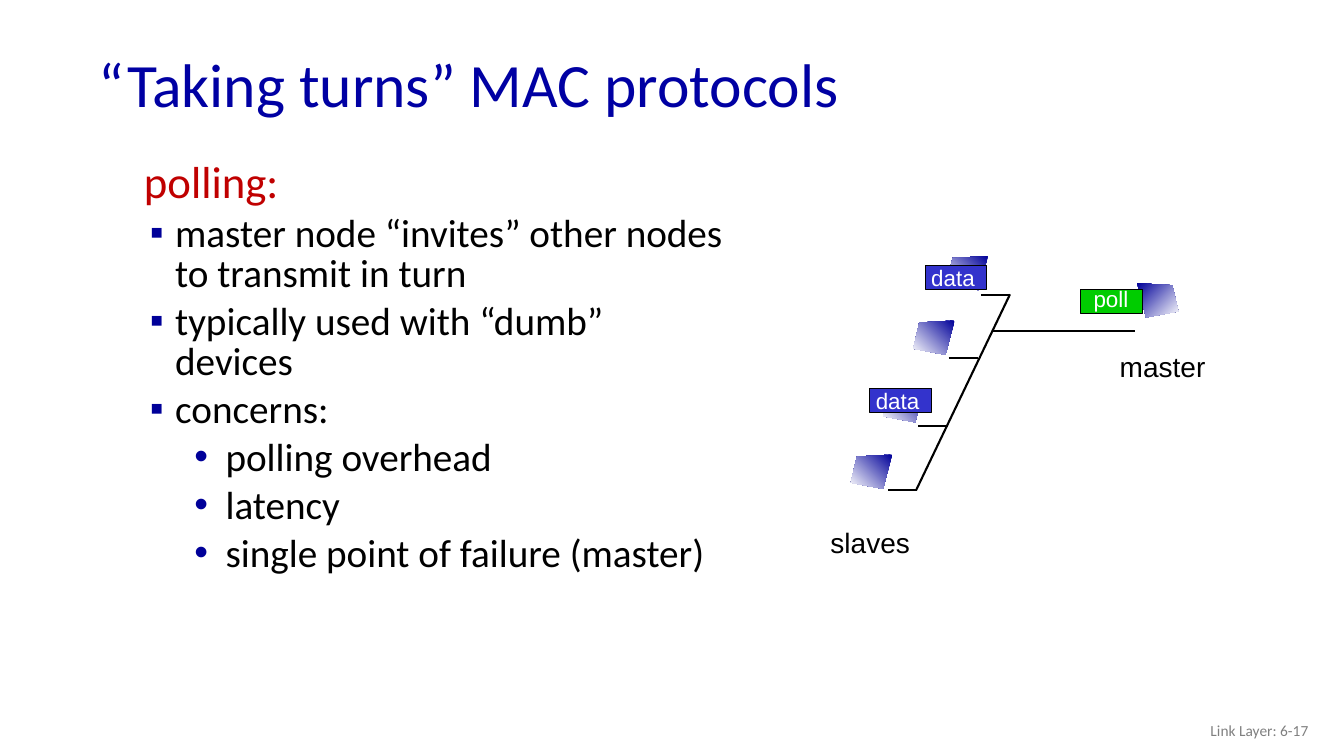
from dataclasses import dataclass

from lxml import etree
from pptx import Presentation
from pptx import util as u
from pptx.dml.color import RGBColor
from pptx.enum import shapes, text
from pptx.oxml import ns

CELL = 0.1
COLUMNS, ROWS = 133.33, 75


@dataclass(frozen=True)
class Theme:
    title: str = "0000A3"
    heading: str = "C00000"
    body: str = "000000"
    bullet: str = "000099"
    footer: str = "808080"
    data: str = "3333CC"
    poll: str = "00CC00"
    light: str = "FFFFFF"
    text_font: str = "Calibri"
    diagram_font: str = "Arial"
    title_size: int = 44
    heading_size: int = 32
    body_size: int = 28
    label_size: int = 20
    tag_size: int = 16
    footer_size: int = 11


THEME = Theme()
BULLETS = [
    (0, "master node “invites” other nodes to transmit in turn"),
    (0, "typically used with “dumb” devices"),
    (0, "concerns:"),
    (1, "polling overhead"),
    (1, "latency"),
    (1, "single point of failure (master)"),
]
BULLET_STYLES = [("▪", 0.31, 0.25), ("•", 0.81, 0.31)]
COMPUTER_OUTLINE = [(4.1, 0), (0.6, 0.2), (0, 2.8), (3.2, 3.4)]
COMPUTER_WIDTH = 4.1
SLAVES = [(84.4, 45.1), (87.6, 38.5), (90.6, 31.8), (93.9, 25.4)]
MASTER = (112.8, 28.1)
STUBS = [(88.1, 48.6), (91.1, 42.3), (94.1, 35.5), (97.3, 29.3)]
STUB_LENGTH = 2.9
BUS = (90.9, 48.6, 100.2, 29.2)
MASTER_LINE = (98.5, 32.8, 112.6, 32.8)
TAGS = [
    ("poll", 107.2, 28.7, THEME.poll, 0.3, -0.9),
    ("data", 86.3, 38.5, THEME.data, -0.4, -0.6),
    ("data", 91.8, 26.3, THEME.data, -0.4, -0.6),
]


def grid(*cells):
    return [u.Inches(cell * CELL) for cell in cells]


def color(code):
    return RGBColor.from_string(code)


def style(paragraph, size, code, font):
    paragraph.font.size = u.Pt(size)
    paragraph.font.name = font
    paragraph.font.color.rgb = color(code)


def add_title(slide, words):
    title = slide.shapes.title
    title.left, title.top, title.width, title.height = grid(8.8, 3.8, 115, 9.8)
    frame = title.text_frame
    frame.text = words
    frame.auto_size = text.MSO_AUTO_SIZE.NONE
    frame.vertical_anchor = text.MSO_ANCHOR.MIDDLE
    paragraph = frame.paragraphs[0]
    paragraph.alignment = text.PP_ALIGN.LEFT
    paragraph.line_spacing = 0.9
    style(paragraph, THEME.title_size, THEME.title, THEME.text_font)


def add_label(slide, words, box, size, code, font=THEME.diagram_font):
    label = slide.shapes.add_textbox(*grid(*box))
    frame = label.text_frame
    frame.word_wrap = False
    frame.text = words
    style(frame.paragraphs[0], size, code, font)
    return frame


def add_footer(slide, words):
    frame = add_label(slide, words, (100.8, 70.5, 30, 4),
                      THEME.footer_size, THEME.footer, THEME.text_font)
    frame.word_wrap = True
    frame.vertical_anchor = text.MSO_ANCHOR.MIDDLE
    frame.paragraphs[0].alignment = text.PP_ALIGN.RIGHT


def set_bullet(paragraph, level):
    symbol, margin, hanging = BULLET_STYLES[level]
    properties = paragraph._p.get_or_add_pPr()
    properties.set("marL", str(u.Inches(margin)))
    properties.set("indent", str(-u.Inches(hanging)))
    bullet_color = etree.SubElement(properties, ns.qn("a:buClr"))
    etree.SubElement(bullet_color, ns.qn("a:srgbClr"), val=THEME.bullet)
    etree.SubElement(properties, ns.qn("a:buFont"), typeface=THEME.diagram_font)
    etree.SubElement(properties, ns.qn("a:buChar"), char=symbol)


def add_body(slide, heading, bullets):
    frame = slide.shapes.add_textbox(*grid(13.3, 15.6, 60, 55.4)).text_frame
    frame.word_wrap = True
    frame.text = heading
    first = frame.paragraphs[0]
    first.line_spacing = 0.85
    style(first, THEME.heading_size, THEME.heading, THEME.text_font)
    for level, words in bullets:
        paragraph = frame.add_paragraph()
        paragraph.text = words
        paragraph.level = level
        set_bullet(paragraph, level)
        paragraph.line_spacing = 0.85
        paragraph.space_before = u.Pt(THEME.body_size * 0.2)
        style(paragraph, THEME.body_size, THEME.body, THEME.text_font)


def add_computer(slide, left, top, mirrored=False):
    points = [
        tuple(grid(left + (COMPUTER_WIDTH - x if mirrored else x), top + y))
        for x, y in COMPUTER_OUTLINE
    ]
    builder = slide.shapes.build_freeform(*points[0])
    builder.add_line_segments(points[1:], close=True)
    computer = builder.convert_to_shape()
    computer.shadow.inherit = False
    computer.line.fill.background()
    computer.fill.gradient()
    computer.fill.gradient_angle = 315 if mirrored else 225
    for stop, code, position in zip(
            computer.fill.gradient_stops, (THEME.bullet, THEME.light), (0, 1)):
        stop.color.rgb = color(code)
        stop.position = position


def add_line(slide, start_x, start_y, end_x, end_y):
    line = slide.shapes.add_connector(
        shapes.MSO_CONNECTOR.STRAIGHT, *grid(start_x, start_y, end_x, end_y))
    line.line.color.rgb = color(THEME.body)
    line.line.width = u.Pt(1.5)
    etree.SubElement(line._element.spPr, ns.qn("a:effectLst"))


def add_tag(slide, words, left, top, fill, shift_x, shift_y):
    tag = slide.shapes.add_shape(
        shapes.MSO_SHAPE.RECTANGLE, *grid(left, top, 6.1, 2.4))
    tag.shadow.inherit = False
    tag.fill.solid()
    tag.fill.fore_color.rgb = color(fill)
    tag.line.color.rgb = color(THEME.body)
    tag.line.width = u.Pt(0.75)
    width = 5.5 if words == "poll" else 6.3
    add_label(slide, words, (left + shift_x, top + shift_y, width, 3.7),
              THEME.tag_size, THEME.light)


def add_network(slide):
    for left, top in SLAVES:
        add_computer(slide, left, top)
    add_computer(slide, *MASTER, mirrored=True)
    add_label(slide, "master", (110.1, 34.2, 10.5, 4.3),
              THEME.label_size, THEME.body)
    add_label(slide, "slaves", (81.4, 51.6, 9.9, 4.3),
              THEME.label_size, THEME.body)
    for tag in TAGS:
        add_tag(slide, *tag)
    add_line(slide, *MASTER_LINE)
    add_line(slide, *BUS)
    for x, y in STUBS:
        add_line(slide, x, y, x + STUB_LENGTH, y)


def main():
    presentation = Presentation()
    presentation.slide_width, presentation.slide_height = grid(COLUMNS, ROWS)
    slide = presentation.slides.add_slide(presentation.slide_layouts[5])
    add_title(slide, "“Taking turns” MAC protocols")
    add_footer(slide, "Link Layer: 6-17")
    add_body(slide, "polling:", BULLETS)
    add_network(slide)
    presentation.save("out.pptx")


if __name__ == "__main__":
    main()
